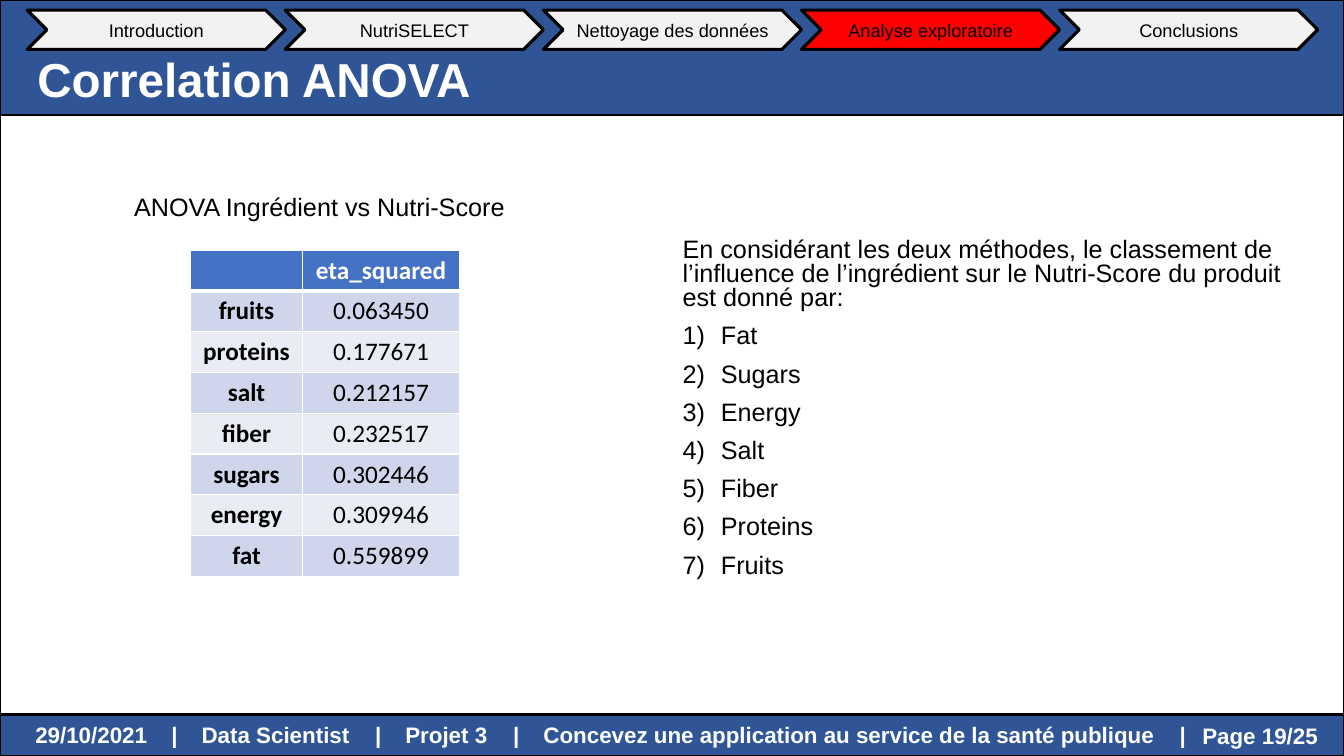
from lxml import etree
from pptx import Presentation
from pptx.dml.color import RGBColor
from pptx.enum.shapes import MSO_SHAPE as Preset
from pptx.enum.text import MSO_ANCHOR as Anchor, MSO_AUTO_SIZE as AutoSize, PP_ALIGN as Align
from pptx.oxml import parse_xml
from pptx.oxml.ns import nsdecls, qn
from pptx.util import Inches, Pt

NAVY, WHITE, BLACK = "2F5597", "FFFFFF", "000000"


def color(hex_string):
    return RGBColor.from_string(hex_string)


def format_text(paragraph, size, hex_string=BLACK, bold=False, align=Align.LEFT, name="Arial"):
    font = paragraph.font
    font.name, font.size, font.bold = name, Pt(size), bold
    font.color.rgb = color(hex_string)
    paragraph.alignment = align


presentation = Presentation()
presentation.slide_width, presentation.slide_height = Inches(13.33), Inches(7.5)
slide = presentation.slides.add_slide(presentation.slide_layouts[3])
shapes = slide.shapes
title, caption, ranking = slide.placeholders

# Header, content panel and footer bands, behind the placeholders
bands = [(0, 1.14, NAVY), (1.14, 5.94, WHITE), (7.09, 0.41, NAVY)]
for position, (top, height, fill) in enumerate(bands):
    band = shapes.add_shape(Preset.RECTANGLE, 0, Inches(top), Inches(13.33), Inches(height))
    band.shadow.inherit = False
    band.fill.solid()
    band.fill.fore_color.rgb = color(fill)
    band.line.color.rgb = color(BLACK)
    band.line.width = Pt(1.5)
    shapes.element.insert(2 + position, band.element)

# Title, table caption and ranking list
places = [(title, 0.27, 0.34, 11.5, 0.95),
          (caption, 1.23, 1.88, 4.79, 4.93),
          (ranking, 6.67, 2.32, 6.52, 3.55)]
for placeholder, left, top, width, height in places:
    placeholder.left, placeholder.top = Inches(left), Inches(top)
    placeholder.width, placeholder.height = Inches(width), Inches(height)
    placeholder.text_frame.auto_size = AutoSize.NONE
    placeholder.text_frame.vertical_anchor = Anchor.TOP

title.text_frame.text = "Correlation ANOVA"
title.text_frame.vertical_anchor = Anchor.MIDDLE
format_text(title.text_frame.paragraphs[0], 34, WHITE, bold=True)
title.text_frame.paragraphs[0].line_spacing = 0.9

caption.text_frame.text = "ANOVA Ingrédient vs Nutri-Score"
ranking.text_frame.text = "\n".join([
    "En considérant les deux méthodes, le classement de l’influence de l’ingrédient "
    "sur le Nutri-Score du produit est donné par:",
    "Fat", "Sugars", "Energy", "Salt", "Fiber", "Proteins", "Fruits"])
for placeholder, line_spacing in [(caption, 0.9), (ranking, 0.8)]:
    for index, paragraph in enumerate(placeholder.text_frame.paragraphs):
        properties = paragraph._p.get_or_add_pPr()
        indent = Inches(0.38) if index else 0
        properties.set("marL", str(indent))
        properties.set("indent", str(-indent))
        if index:
            etree.SubElement(properties, qn("a:buAutoNum"), type="arabicParenR")
        else:
            etree.SubElement(properties, qn("a:buNone"))
        format_text(paragraph, 18)
        paragraph.line_spacing = line_spacing
        paragraph.space_before = Pt(10)

# Section navigation
sections = ["Introduction", "NutriSELECT", "Nettoyage des données",
            "Analyse exploratoire", "Conclusions"]
for index, section in enumerate(sections):
    chevron = shapes.add_shape(Preset.CHEVRON, Inches(0.27 + 2.56 * index), Inches(0.1),
                               Inches(2.56), Inches(0.39))
    chevron.shadow.inherit = False
    chevron.fill.solid()
    chevron.fill.fore_color.rgb = color("FF0000" if section == "Analyse exploratoire" else "F2F2F2")
    chevron.line.color.rgb = color(BLACK)
    chevron.line.width = Pt(2.25)
    frame = chevron.text_frame
    frame.margin_left = frame.margin_right = frame.margin_top = frame.margin_bottom = 0
    frame.vertical_anchor = Anchor.MIDDLE
    frame.text = section
    format_text(frame.paragraphs[0], 13, align=Align.CENTER)

# Footer details on tab stops, and page number
footer = shapes.add_textbox(0, Inches(7.08), Inches(12.09), Inches(0.42))
footer.text_frame.margin_left = Inches(0.35)
footer.text_frame.text = "\t".join([
    "29/10/2021", "|", "Data Scientist", "|", "Projet 3", "|",
    "Concevez une application au service de la santé publique", "|"])
tab_list = etree.SubElement(footer.text_frame.paragraphs[0]._p.get_or_add_pPr(), qn("a:tabLst"))
for stop in [1.35, 1.65, 3.37, 3.67, 4.74, 5.04, 11.35]:
    etree.SubElement(tab_list, qn("a:tab"), pos=str(Inches(stop)), algn="l")
format_text(footer.text_frame.paragraphs[0], 16, WHITE, bold=True)

page = shapes.add_textbox(Inches(11.52), Inches(7.11), Inches(1.81), Inches(0.37))
page.text_frame.margin_right = Inches(0.26)
page.text_frame.text = "Page 19/25"
format_text(page.text_frame.paragraphs[0], 16, WHITE, bold=True, align=Align.RIGHT)
for box in (footer, page):
    box.text_frame.word_wrap = True
    box.text_frame.vertical_anchor = Anchor.MIDDLE

# ANOVA table
rows = [("", "eta_squared"), ("fruits", "0.063450"), ("proteins", "0.177671"),
        ("salt", "0.212157"), ("fiber", "0.232517"), ("sugars", "0.302446"),
        ("energy", "0.309946"), ("fat", "0.559899")]
table = shapes.add_table(len(rows), 2, Inches(1.89), Inches(2.48),
                         Inches(2.67), Inches(3.24)).table
table.columns[0].width, table.columns[1].width = Inches(1.11), Inches(1.56)
for row_index, row in enumerate(rows):
    is_header = row_index == 0
    fill = "4472C4" if is_header else ("E9EBF5", "CFD5EA")[row_index % 2]
    for column_index, value in enumerate(row):
        cell = table.cell(row_index, column_index)
        cell.text = value
        cell.vertical_anchor = Anchor.MIDDLE
        format_text(cell.text_frame.paragraphs[0], 18, WHITE if is_header else BLACK,
                    bold=is_header or column_index == 0, align=Align.CENTER, name="Calibri")
        widths = {"lnL": 1, "lnR": 1, "lnT": 3 if row_index == 1 else 1, "lnB": 3 if is_header else 1}
        for side, width in widths.items():
            cell._tc.get_or_add_tcPr().append(parse_xml(
                f'<a:{side} {nsdecls("a")} w="{Pt(width)}"><a:solidFill>'
                f'<a:srgbClr val="{WHITE}"/></a:solidFill></a:{side}>'))
        cell.fill.solid()
        cell.fill.fore_color.rgb = color(fill)

presentation.save("out.pptx")
